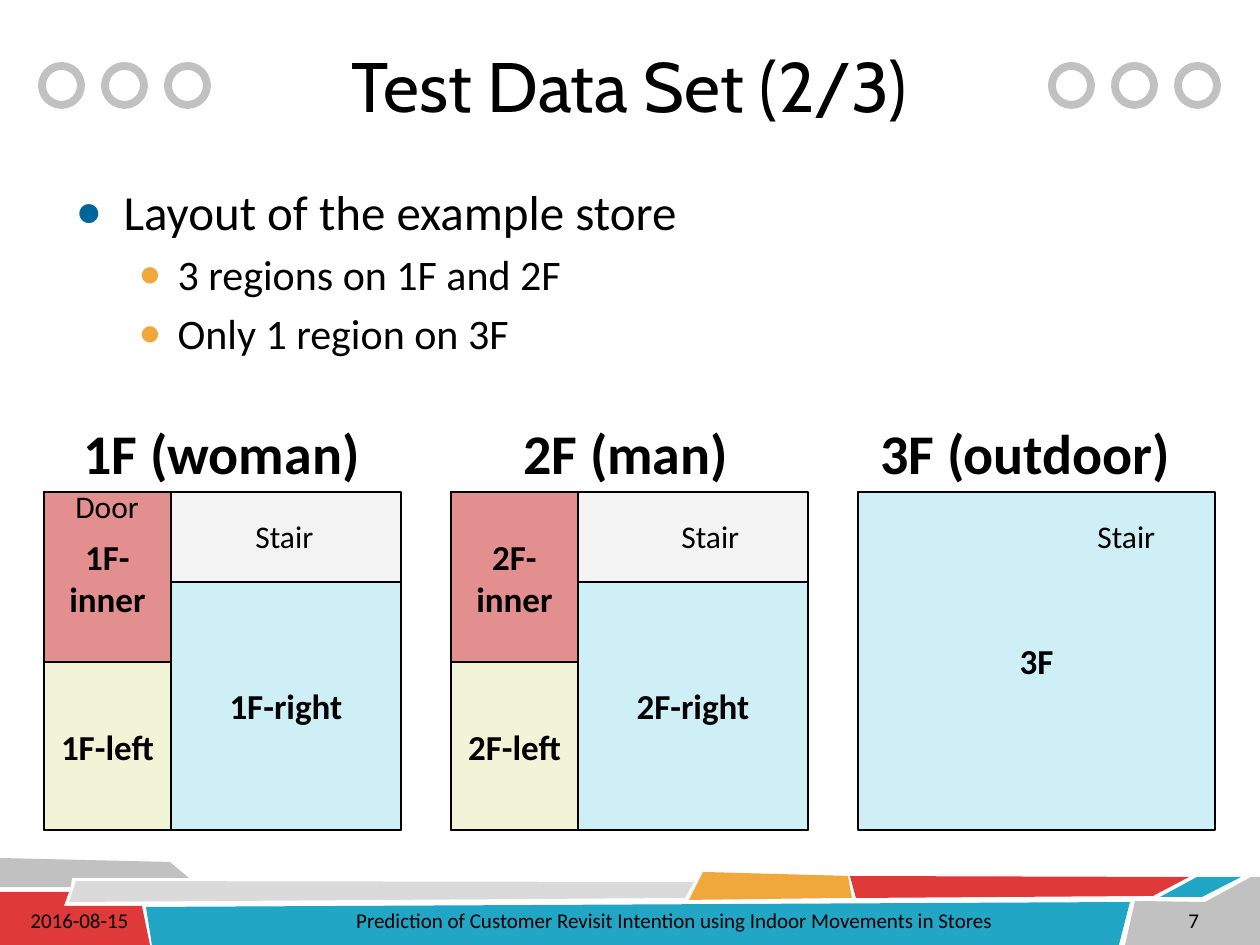
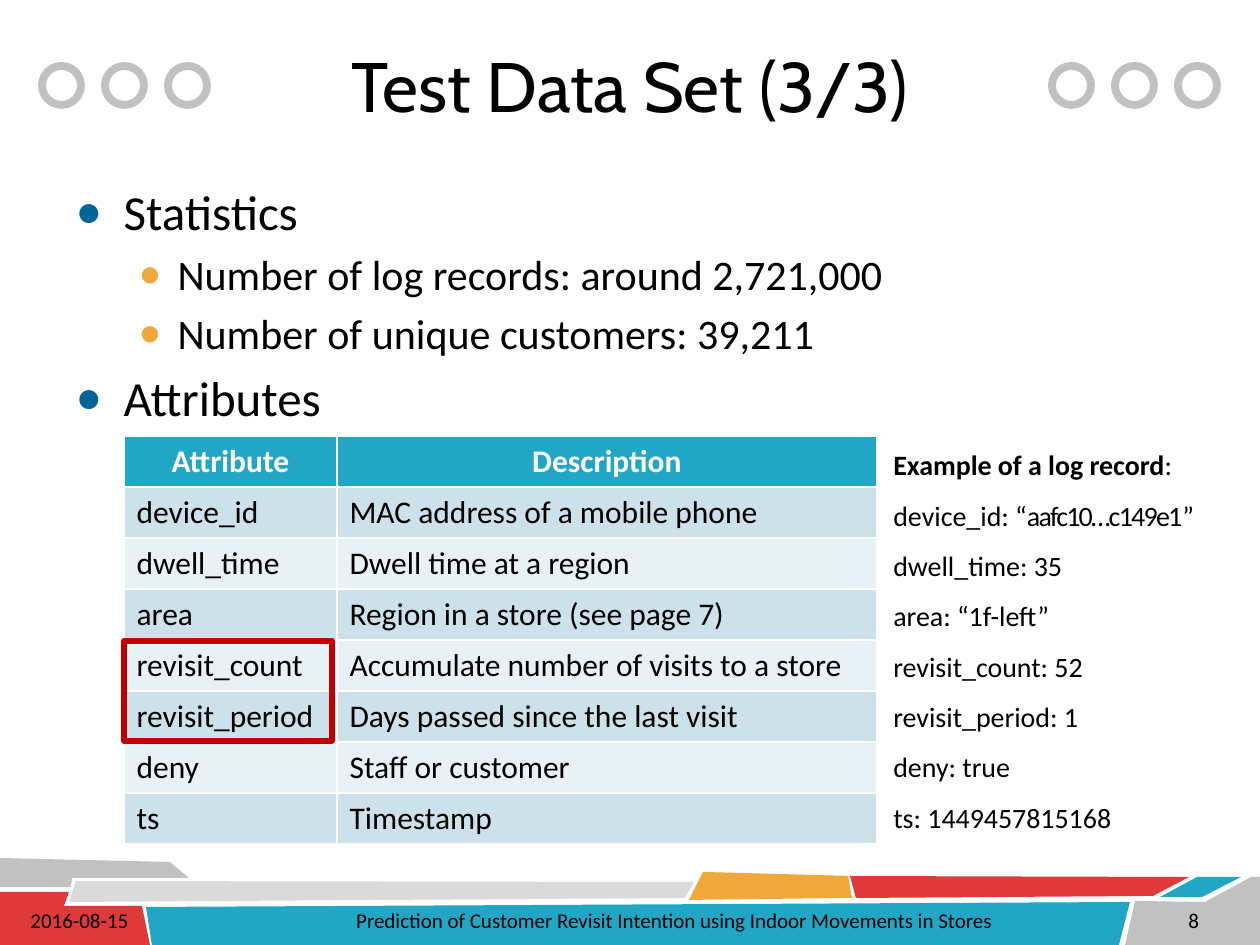
from lxml.etree import SubElement
from pptx import Presentation
from pptx.dml.color import RGBColor
from pptx.enum.shapes import MSO_SHAPE as Shape
from pptx.enum.text import MSO_ANCHOR as Anchor, MSO_AUTO_SIZE as AutoSize, PP_ALIGN as Align
from pptx.oxml.ns import qn
from pptx.util import Pt

SCALE = 914400 / 126  # EMU in one pixel
WIDTH, HEIGHT = 1260, 945

BLACK = RGBColor(0x00, 0x00, 0x00)
WHITE = RGBColor(0xFF, 0xFF, 0xFF)
GREY = RGBColor(0xC1, 0xC1, 0xC1)
PALE_GREY = RGBColor(0xDA, 0xDA, 0xDA)
RED = RGBColor(0xDF, 0x39, 0x39)
TEAL = RGBColor(0x21, 0xA6, 0xC5)
ORANGE = RGBColor(0xF0, 0xA7, 0x3C)
BLUE = RGBColor(0x00, 0x66, 0x99)
FLOOR = RGBColor(0xF3, 0xF3, 0xF3)
INNER = RGBColor(0xE4, 0x8F, 0x8F)
LEFT = RGBColor(0xF2, 0xF4, 0xD7)
RIGHT = RGBColor(0xCF, 0xEF, 0xF7)
ROW_DARK = RGBColor(0xCD, 0xE1, 0xEA)
ROW_LIGHT = RGBColor(0xE8, 0xF1, 0xF5)
HIGHLIGHT = RGBColor(0xC0, 0x00, 0x00)

FOOTER = "Prediction of Customer Revisit Intention using Indoor Movements in Stores"
DATE = "2016-08-15"
BAND = [
    (GREY, [(0, 858), (170, 862), (189, 878), (72, 878), (71, 887), (0, 887)]),
    (RED, [(0, 892), (69, 892), (64, 906), (142, 906), (150, 945), (0, 945)]),
    (PALE_GREY, [(76, 881), (694, 882), (685, 898), (69, 902)]),
    (TEAL, [(146, 907), (1130, 902), (1119, 945), (152, 945)]),
    (ORANGE, [(703, 872), (848, 876), (852, 898), (689, 900)]),
    (RED, [(850, 876), (1189, 877), (1153, 896), (856, 898)]),
    (TEAL, [(1197, 877), (1241, 877), (1202, 897), (1160, 897)]),
    (GREY, [(1135, 901), (1205, 902), (1251, 877), (1260, 877), (1260, 945), (1125, 945)]),
]
# Per list level: size, bullet colour, left margin and hanging indent
LEVELS = [(28, BLUE, 48, 48), (24, ORANGE, 102, 39)]


def px(length):
    """Turn pixels into EMU."""
    return round(length * SCALE)


def write(paragraph, text, size=18, font="Calibri", color=BLACK, bold=False,
          align=None, tracking=0):
    """Add a formatted run to a paragraph."""
    run = paragraph.add_run()
    run.text = text
    run.font.size, run.font.name, run.font.bold = Pt(size), font, bold
    run.font.color.rgb = color
    if align is not None:
        paragraph.alignment = align
    if tracking:
        run.font._element.set("spc", str(tracking * 100))


class Deck:
    """The shared style and the slide being built."""

    def __init__(self):
        """Start an empty presentation."""
        self.file = Presentation()
        self.file.slide_width, self.file.slide_height = px(WIDTH), px(HEIGHT)
        self.slide = None

    def new_slide(self, title, items, number):
        """Add a slide with band, rings, footer, title and bulleted list."""
        self.slide = self.file.slides.add_slide(self.file.slide_layouts[1])
        for color, points in BAND:
            self.polygon(points, color)
        self.label(FOOTER, 322, 901, 705, 38, size=12, align=Align.CENTER)
        self.label(DATE, 18, 901, 146, 38, size=12)
        self.label(str(number), 1176, 901, 63, 38, size=12)
        for group_left in (42, 1052):
            for i in range(3):
                self.box(group_left + 63 * i, 66, 39, 39, line=GREY, weight=4.5,
                         kind=Shape.OVAL)
        self.title(title)
        self.bullets(items)

    def place(self, shape, left, top, width, height):
        """Move and size a placeholder."""
        shape.left, shape.top = px(left), px(top)
        shape.width, shape.height = px(width), px(height)

    def title(self, text):
        """Fill the title placeholder."""
        heading = self.slide.shapes.title
        self.place(heading, 220, 15, 819, 140)
        heading.text_frame.vertical_anchor = Anchor.MIDDLE
        write(heading.text_frame.paragraphs[0], text, size=40, font="Cabin",
              align=Align.CENTER)

    def bullets(self, items):
        """Fill the body placeholder with (level, text) items."""
        body = self.slide.placeholders[1]
        self.place(body, 63, 175, 1134, 669)
        frame = body.text_frame
        frame.auto_size = AutoSize.NONE
        for i, (level, text) in enumerate(items):
            paragraph = frame.add_paragraph() if i else frame.paragraphs[0]
            paragraph.level = level
            size, color, margin, hanging = LEVELS[level]
            write(paragraph, text, size=size)
            props = paragraph._p.get_or_add_pPr()
            props.set("marL", str(px(margin)))
            props.set("indent", str(-px(hanging)))
            bullet_color = SubElement(props, qn("a:buClr"))
            SubElement(bullet_color, qn("a:srgbClr"), val=str(color))
            SubElement(props, qn("a:buSzPct"), val="90000")
            SubElement(props, qn("a:buChar"), char="●")

    def polygon(self, points, color):
        """Draw a closed, filled outline."""
        builder = self.slide.shapes.build_freeform(*points[0], scale=SCALE)
        builder.add_line_segments(points[1:], close=True)
        piece = builder.convert_to_shape()
        piece.shadow.inherit = False
        piece.fill.solid()
        piece.fill.fore_color.rgb = color
        piece.line.fill.background()

    def box(self, left, top, width, height, text="", fill=None, line=BLACK,
            weight=1.25, kind=Shape.RECTANGLE):
        """Draw an outlined preset shape, with a bold centred text if given."""
        shape = self.slide.shapes.add_shape(kind, px(left), px(top), px(width), px(height))
        shape.shadow.inherit = False
        if fill is None:
            shape.fill.background()
        else:
            shape.fill.solid()
            shape.fill.fore_color.rgb = fill
        shape.line.color.rgb, shape.line.width = line, Pt(weight)
        if text:
            shape.text_frame.vertical_anchor = Anchor.MIDDLE
            write(shape.text_frame.paragraphs[0], text, size=20, bold=True,
                  align=Align.CENTER)

    def label(self, text, left, top, width, height, **style):
        """Add a one-paragraph text box and return its frame."""
        frame = self.slide.shapes.add_textbox(
            px(left), px(top), px(width), px(height)).text_frame
        frame.word_wrap = True
        write(frame.paragraphs[0], text, **style)
        return frame

    def table(self, rows, left, top, widths, row_height):
        """Add a table with a header row and banded body rows."""
        grid = self.slide.shapes.add_table(
            len(rows), len(widths), px(left), px(top),
            px(sum(widths)), px(row_height * len(rows))).table
        for column, width in zip(grid.columns, widths):
            column.width = px(width)
        for r, row in enumerate(rows):
            grid.rows[r].height = px(row_height)
            for c, text in enumerate(row):
                cell = grid.cell(r, c)
                cell.fill.solid()
                paragraph = cell.text_frame.paragraphs[0]
                if r == 0:
                    cell.fill.fore_color.rgb = TEAL
                    write(paragraph, text, color=WHITE, bold=True, align=Align.CENTER)
                else:
                    cell.fill.fore_color.rgb = ROW_DARK if r % 2 else ROW_LIGHT
                    write(paragraph, text)

    def log_record(self, heading, fields, left, top, width, height):
        """List a record's fields; each is a list of (text, tracking) parts."""
        frame = self.label(heading, left, top, width, height, size=16, bold=True)
        frame.word_wrap = False
        write(frame.paragraphs[0], ":", size=16)
        for field in fields:
            paragraph = frame.add_paragraph()
            for text, tracking in field:
                write(paragraph, text, size=16, tracking=tracking)
        for paragraph in frame.paragraphs:
            paragraph.line_spacing = 1.5


def store_layout(deck):
    """Build the floor plans of the store."""
    deck.new_slide("Test Data Set (2/3)", [
        (0, "Layout of the example store"),
        (1, "3 regions on 1F and 2F"),
        (1, "Only 1 region on 3F"),
    ], 7)
    top, width, height = 492, 357, 338
    floor_lefts = [44 + 407 * i for i in range(3)]
    for floor, left in zip(("1F", "2F"), floor_lefts):
        deck.box(left, top, width, height, fill=FLOOR)
        deck.box(left, top, 127, 170, f"{floor}-inner", INNER)
        deck.box(left, top + 170, 127, 168, f"{floor}-left", LEFT)
        deck.box(left + 127, top + 90, 230, 248, f"{floor}-right", RIGHT)
    deck.box(floor_lefts[2], top, width, height, "3F", RIGHT)
    deck.label("Door", 63, 481, 248, 50)
    for stair_left in (243, 669, 1085):
        deck.label("Stair", stair_left, 511, 149, 50)
    for name, left in (("1F (woman)", 71), ("2F (man)", 511), ("3F (outdoor)", 868)):
        deck.label(name, left, 412, 340, 81, size=32, bold=True)


def log_statistics(deck):
    """Build the statistics and the table of log attributes."""
    deck.new_slide("Test Data Set (3/3)", [
        (0, "Statistics"),
        (1, "Number of log records: around 2,721,000"),
        (1, "Number of unique customers: 39,211"),
        (0, "Attributes"),
    ], 8)
    deck.log_record("Example of a log record", [
        [("device_id: “", 0), ("aafc10…c149e1", -1), ("”", 0)],
        [("dwell_time: 35", 0)],
        [("area: “1f-left”", 0)],
        [("revisit_count: 52", 0)],
        [("revisit_period: 1", 0)],
        [("deny: true", 0)],
        [("ts: 1449457815168", 0)],
    ], 881, 425, 339, 415)
    deck.table([
        ("Attribute", "Description"),
        ("device_id", "MAC address of a mobile phone"),
        ("dwell_time", "Dwell time at a region"),
        ("area", "Region in a store (see page 7)"),
        ("revisit_count", "Accumulate number of visits to a store"),
        ("revisit_period", "Days passed since the last visit"),
        ("deny", "Staff or customer"),
        ("ts", "Timestamp"),
    ], 124, 436, (213, 540), 51)
    deck.box(124, 641, 208, 100, line=HIGHLIGHT, weight=3)


deck = Deck()
store_layout(deck)
log_statistics(deck)
deck.file.save("out.pptx")
